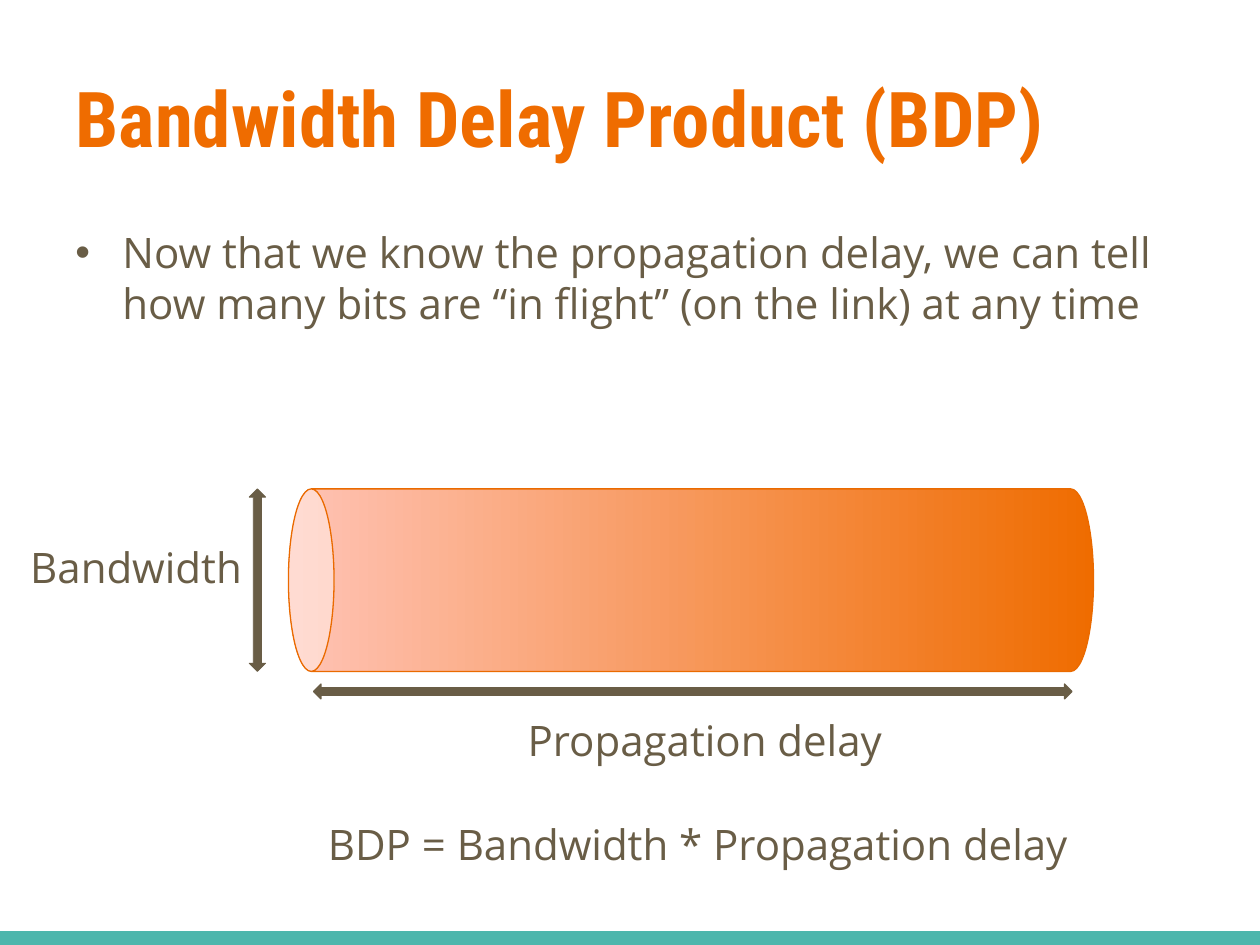
from lxml.etree import SubElement
from pptx import Presentation
from pptx.dml.color import RGBColor
from pptx.enum.shapes import MSO_CONNECTOR, MSO_SHAPE
from pptx.enum.text import MSO_ANCHOR, MSO_AUTO_SIZE, PP_ALIGN
from pptx.oxml.ns import qn
from pptx.util import Cm, Pt

COLORS = {"title": "EF6C00", "text": "695D46", "edge": "EA6A00",
          "pale": "FFC3B5", "bar": "4DB6AC"}


def tint(name):
    return RGBColor.from_string(COLORS[name])


class Deck:
    head = "Roboto Condensed"
    body = "Open Sans"
    size = 24

    def __init__(self, width, height):
        self.prs = Presentation()
        self.prs.slide_width, self.prs.slide_height = Cm(width), Cm(height)
        self.slide = self.prs.slides.add_slide(self.prs.slide_layouts[5])

    def add_run(self, para, text, font, size, color, bold=False):
        run = para.add_run()
        run.text = text
        run.font.name, run.font.size = font, Pt(size)
        run.font.bold = bold
        run.font.color.rgb = tint(color)

    def title(self, text, *box):
        shape = self.slide.shapes.title
        shape.left, shape.top, shape.width, shape.height = map(Cm, box)
        frame = shape.text_frame
        frame.vertical_anchor = MSO_ANCHOR.MIDDLE
        frame.auto_size = MSO_AUTO_SIZE.NONE
        para = frame.paragraphs[0]
        para.alignment = PP_ALIGN.LEFT
        self.add_run(para, text, self.head, 44, "title", True)

    def text(self, text, *box, align=PP_ALIGN.LEFT):
        frame = self.slide.shapes.add_textbox(*map(Cm, box)).text_frame
        frame.word_wrap = True
        para = frame.paragraphs[0]
        para.alignment = align
        self.add_run(para, text, self.body, self.size, "text")
        return para

    def bullet(self, text, *box):
        props = self.text(text, *box)._p.get_or_add_pPr()
        props.set("marL", str(Cm(0.95)))
        props.set("indent", str(-Cm(0.95)))
        SubElement(props, qn("a:buFont"), typeface="Arial")
        SubElement(props, qn("a:buChar"), char="•")

    def shape(self, kind, *box, turn=0, line="text", weight=0.75):
        shape = self.slide.shapes.add_shape(kind, *map(Cm, box))
        shape.rotation = turn
        shape.shadow.inherit = False
        shape.line.color.rgb = tint(line)
        shape.line.width = Pt(weight)
        return shape

    def arrow(self, *box, turn=0, weight=0.75):
        shape = self.shape(MSO_SHAPE.LEFT_RIGHT_ARROW, *box,
                           turn=turn, weight=weight)
        shape.fill.solid()
        shape.fill.fore_color.rgb = tint("text")

    def pipe(self, *box):
        fill = self.shape(MSO_SHAPE.CAN, *box, turn=270, line="edge").fill
        fill.gradient()
        fill.gradient_angle = 90
        for stop, name in zip(fill.gradient_stops, ("title", "pale")):
            stop.color.rgb = tint(name)

    def bar(self, x1, y1, x2, y2):
        line = self.slide.shapes.add_connector(
            MSO_CONNECTOR.STRAIGHT, Cm(x1), Cm(y1), Cm(x2), Cm(y2))
        line.line.color.rgb = tint("bar")
        line.line.width = Pt(10)
        SubElement(line._element.spPr, qn("a:effectLst"))


def main():
    deck = Deck(25.4, 19.05)
    deck.bar(0, 18.95, 25.4, 18.95)
    deck.title("Bandwidth Delay Product (BDP)", 1.27, 0.76, 22.86, 3.18)
    deck.bullet("Now that we know the propagation delay, we can tell how many "
                "bits are “in flight” (on the link) at any time",
                1.27, 4.45, 22.86, 12.57)
    deck.pipe(12.09, 3.58, 3.68, 16.23)
    deck.arrow(6.32, 13.79, 15.29, 0.3)
    deck.arrow(3.35, 11.53, 3.68, 0.33, turn=270, weight=0.5)
    deck.text("Bandwidth", 0.36, 10.8, 5, 1.27)
    deck.text("Propagation delay", 10.31, 14.27, 7.8, 1.27,
              align=PP_ALIGN.CENTER)
    deck.text("BDP = Bandwidth * Propagation delay ", 6.32, 16.38, 15.72, 1.27,
              align=PP_ALIGN.CENTER)
    deck.prs.save("out.pptx")


if __name__ == "__main__":
    main()
